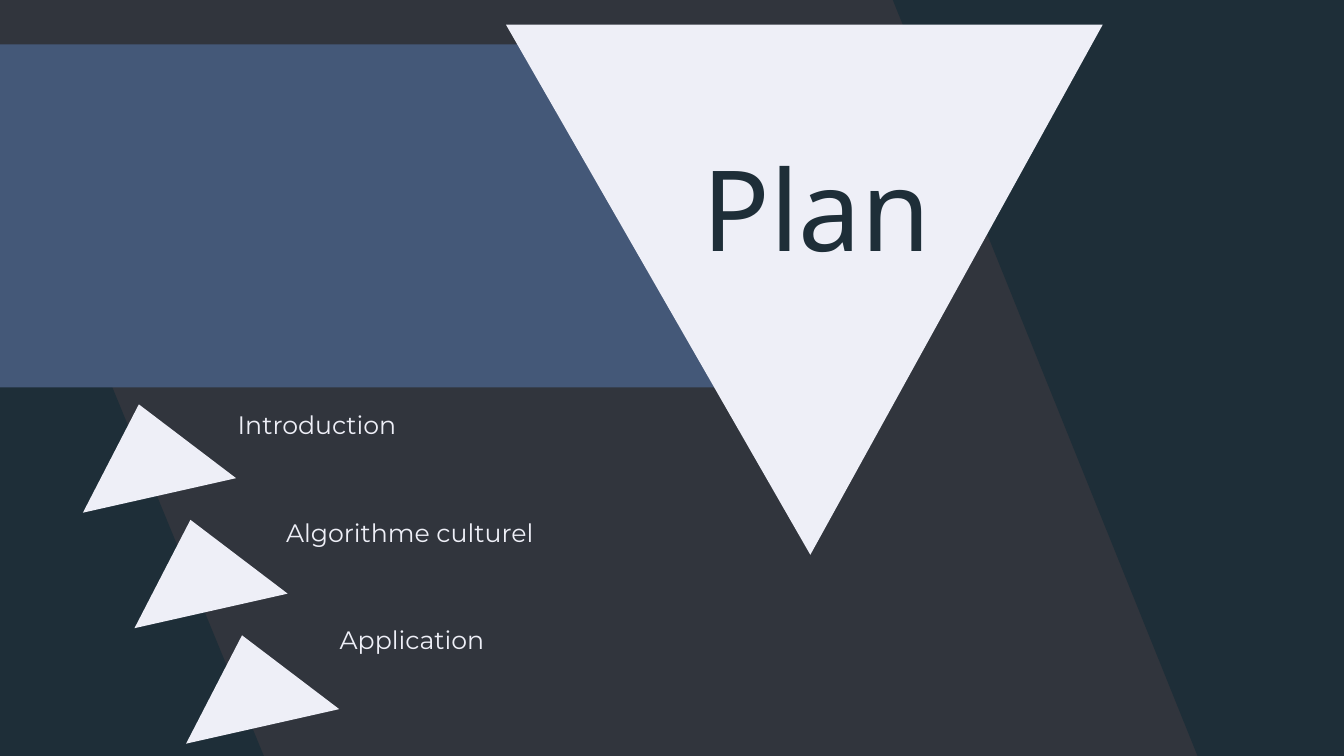
from pptx import Presentation
from pptx.dml.color import RGBColor
from pptx.enum.shapes import MSO_SHAPE
from pptx.util import Cm, Pt

NIGHT = RGBColor(0x1E, 0x2E, 0x38)
SLATE = RGBColor(0x31, 0x35, 0x3D)
BLUE = RGBColor(0x44, 0x58, 0x78)
PALE = RGBColor(0xEE, 0xEF, 0xF7)
WIDTH, HEIGHT = 33.87, 19.05


class Painter:
    def __init__(self, slide, font):
        self.slide = slide
        self.font = font

    def backdrop(self, color):
        fill = self.slide.background.fill
        fill.solid()
        fill.fore_color.rgb = color

    def paint(self, shape, color):
        shape.shadow.inherit = False
        shape.fill.solid()
        shape.fill.fore_color.rgb = color
        shape.line.fill.background()

    def preset(self, kind, box, color, adjust, turn=0):
        shape = self.slide.shapes.add_shape(kind, *map(Cm, box))
        shape.adjustments[0] = adjust
        shape.rotation = turn
        self.paint(shape, color)

    def outline(self, points, color):
        start, *rest = [(Cm(x), Cm(y)) for x, y in points]
        builder = self.slide.shapes.build_freeform(*start)
        builder.add_line_segments(rest, close=True)
        self.paint(builder.convert_to_shape(), color)

    def text(self, words, box, size, color, font=None, wrap=False):
        frame = self.slide.shapes.add_textbox(*map(Cm, box)).text_frame
        frame.word_wrap = wrap
        frame.text = words
        style = frame.paragraphs[0].runs[0].font
        style.name = font or self.font
        style.size = Pt(size)
        style.color.rgb = color


def main():
    deck = Presentation()
    deck.slide_width, deck.slide_height = Cm(WIDTH), Cm(HEIGHT)
    painter = Painter(deck.slides.add_slide(deck.slide_layouts[6]), "Montserrat")

    painter.backdrop(SLATE)
    painter.outline([(22.5, 0), (WIDTH, 0), (WIDTH, HEIGHT), (30.18, HEIGHT)], NIGHT)
    painter.outline([(0, 2.87), (6.65, HEIGHT), (0, HEIGHT)], NIGHT)
    painter.preset(MSO_SHAPE.PARALLELOGRAM, (-4.83, 1.12, 31.62, 8.64), BLUE, 0.55)
    painter.preset(MSO_SHAPE.ISOSCELES_TRIANGLE, (12.75, 0.62, 15.04, 13.36), PALE, 0.49, 180)
    painter.text("Plan", (17.45, 3.4, 9.68, 3.68), 80, NIGHT, "Noto Sans", True)

    marker = [(2.09, 12.92), (3.5, 10.19), (5.95, 12.05)]
    topics = [
        ("Introduction", (5.74, 10.19, 4.67, 1.02)),
        ("Algorithme culturel", (6.96, 12.9, 7.01, 1.02)),
        ("Application", (8.31, 15.6, 4.32, 1.02)),
    ]
    for row, (topic, box) in enumerate(topics):
        painter.outline([(x + 1.3 * row, y + 2.91 * row) for x, y in marker], PALE)
        painter.text(topic, box, 18, PALE)

    deck.save("out.pptx")


if __name__ == "__main__":
    main()
